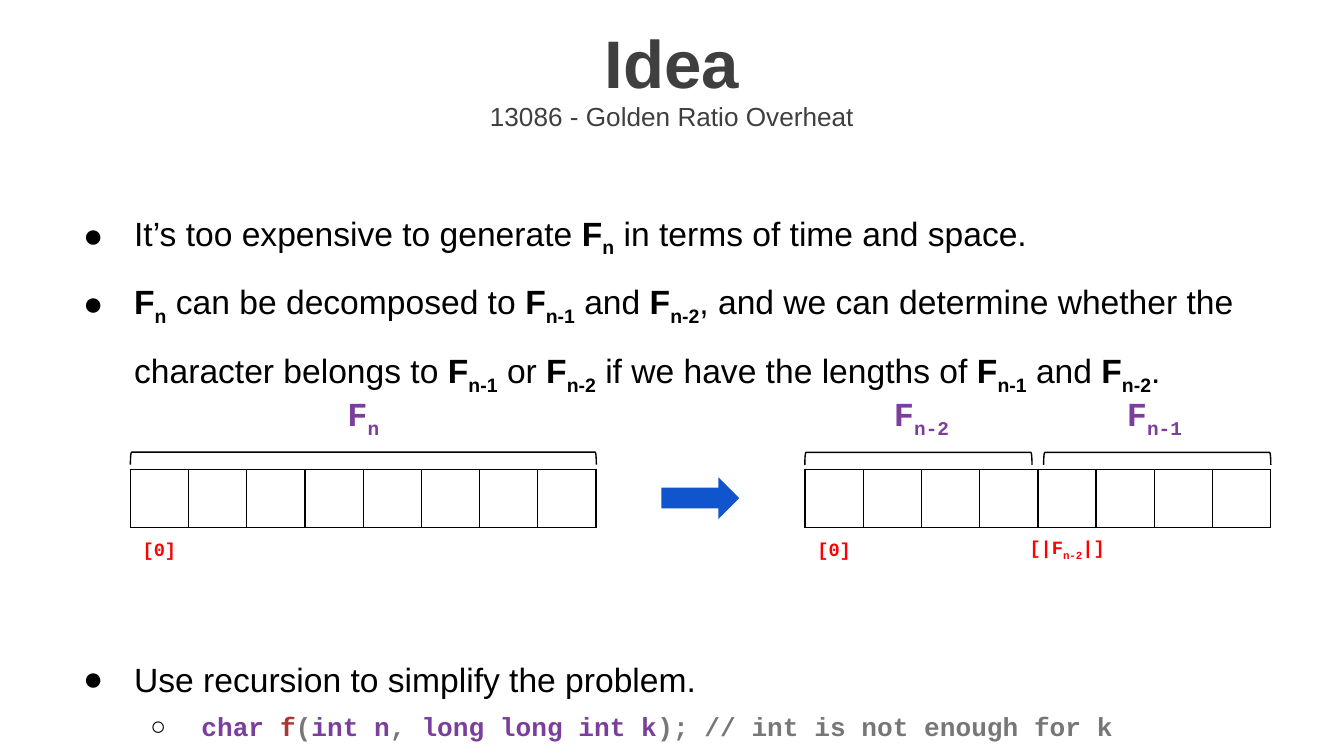
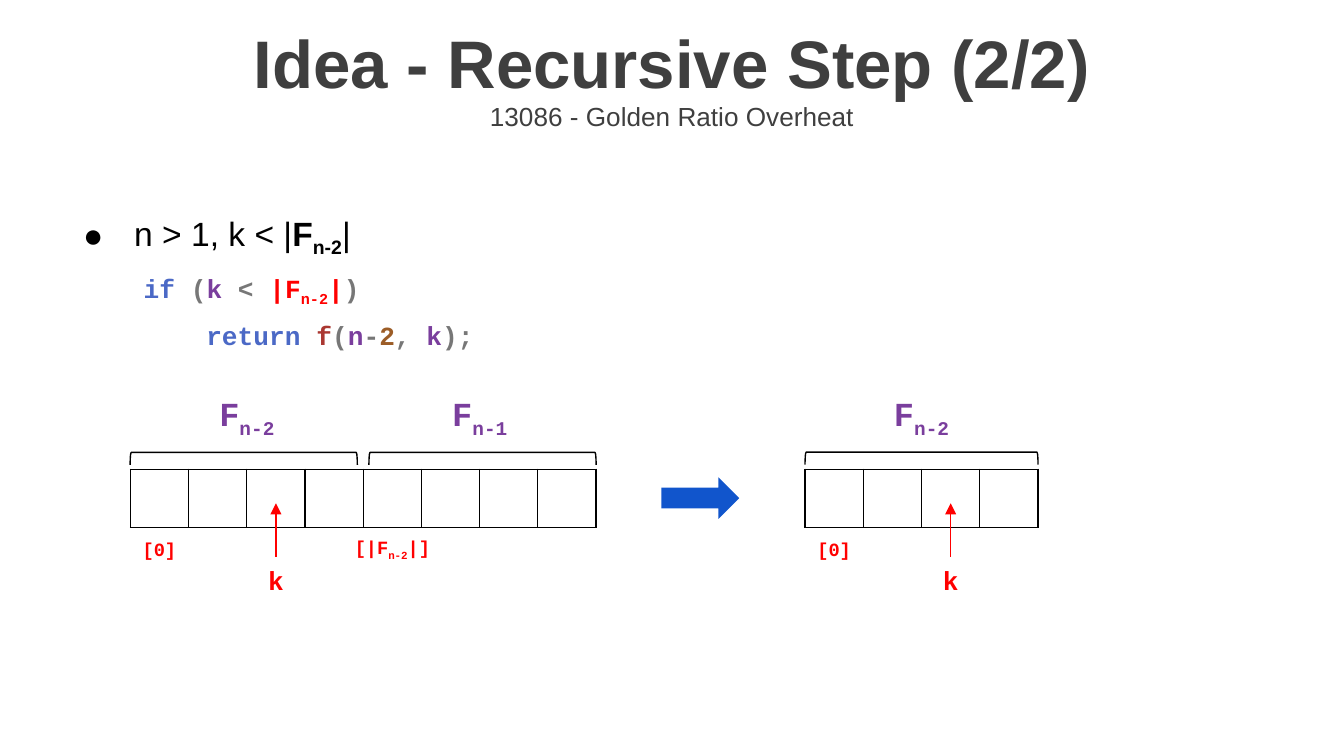
"""Build two slides on splitting a Fibonacci-style string recursively."""
from lxml import etree
from pptx import Presentation
from pptx import util as u
from pptx.dml import color
from pptx.enum import shapes, text as t
from pptx.oxml import ns

PX = 3048
COLORS = {
    "title": "3F3F3F", "ink": "000000", "arrow": "1155CC", "mark": "FF0000",
    "name": "7A3E9D", "call": "AA3731", "punct": "777777", "key": "4B69C6",
    "number": "9C5D27",
}
SANS, MONO = "Arial", "Courier New"
CELL, HALF = 130, 520
ROW_TOP, LEFT_ROW, RIGHT_ROW = 1047, 291, 1797
BRACKET_GAP = 13


def px(length):
    return u.Emu(length * PX)


def rgb(name):
    return color.RGBColor.from_string(COLORS[name])


def add_xml(parent, tag, **attributes):
    return etree.SubElement(parent, ns.qn(tag), attributes)


def add_run(para, text, size, font, ink, bold, subscript=False):
    span = para.add_run()
    span.text = text
    span.font.size = u.Pt(size)
    span.font.name = font
    span.font.bold = bold
    span.font.color.rgb = rgb(ink)
    if subscript:
        span.font._element.set("baseline", "-25000")


def add_span(para, text, size=18, font=SANS, ink="ink", bold=False):
    """Add text, writing each {n} as a bold F with subscript n."""
    plain, *terms = text.split("{")
    if plain:
        add_run(para, plain, size, font, ink, bold)
    for term in terms:
        index, _, rest = term.partition("}")
        add_run(para, "F", size, font, ink, True)
        add_run(para, index, size, font, ink, True, subscript=True)
        if rest:
            add_run(para, rest, size, font, ink, bold)


def add_code(para, spans, indent=0):
    para.line_spacing = 1.36
    if indent:
        para._p.get_or_add_pPr().set("marL", str(px(indent)))
    for ink, text in spans:
        add_span(para, text, size=14, font=MONO, ink=ink, bold=True)


def add_box(page, left, top, width, height, inset=30, anchor=t.MSO_ANCHOR.TOP):
    frame = page.shapes.add_textbox(px(left), px(top), px(width), px(height)).text_frame
    frame.word_wrap = True
    frame.vertical_anchor = anchor
    frame.margin_left = frame.margin_right = px(30)
    frame.margin_top = frame.margin_bottom = px(inset)
    return frame


def add_label(page, text, left, top, width, height, inset=30, **style):
    frame = add_box(page, left, top, width, height, inset, t.MSO_ANCHOR.MIDDLE)
    para = frame.paragraphs[0]
    para.alignment = t.PP_ALIGN.CENTER
    add_span(para, text, **style)


def set_bullet(para, mark, level=0):
    para.level = level
    props = para._p.get_or_add_pPr()
    props.set("marL", str(px(150 * (level + 1))))
    props.set("indent", str(px(-114)))
    add_xml(add_xml(props, "a:buClr"), "a:srgbClr", val=COLORS["ink"])
    add_xml(props, "a:buFont", typeface=SANS)
    add_xml(props, "a:buChar", char=mark)


def add_bullets(page, width, *lines):
    """Add a bulleted body and return its text frame."""
    frame = add_box(page, 120, 393, width, 1236)
    for number, line in enumerate(lines):
        para = frame.add_paragraph() if number else frame.paragraphs[0]
        para.line_spacing = 1.5
        set_bullet(para, "●")
        add_span(para, line)
    return frame


def add_row(page, left, count):
    frame = page.shapes.add_table(1, count, px(left), px(ROW_TOP), px(CELL * count), px(CELL))
    table = frame.table
    table.first_row = table.horz_banding = False
    table.rows[0].height = px(CELL)
    for column in table.columns:
        column.width = px(CELL)
    for cell in table.iter_cells():
        props = cell._tc.get_or_add_tcPr()
        for side in ("a:lnL", "a:lnR", "a:lnT", "a:lnB"):
            line = add_xml(props, side, w=str(u.Pt(0.75)))
            add_xml(add_xml(line, "a:solidFill"), "a:srgbClr", val=COLORS["ink"])
        cell.fill.background()


def add_bracket(page, left, length):
    bracket = page.shapes.add_shape(
        shapes.MSO_SHAPE.LEFT_BRACKET, px(left + length // 2 - 14),
        px(1023 - length // 2), px(28), px(length))
    bracket.rotation = 90
    bracket.shadow.inherit = False
    bracket.fill.background()
    bracket.line.color.rgb = rgb("ink")
    bracket.line.width = u.Pt(0.75)


def add_term(page, text, left, width):
    add_label(page, text, left, 882, width, 93, font=MONO, ink="name", bold=True)


def add_index(page, text, row, cell):
    center = row + cell * CELL + CELL // 2
    add_label(page, text, center - 195, 1197, 390, 54,
              size=10, font=MONO, ink="mark", bold=True)


def add_whole(page, row, term, count):
    """Add a row of cells under one bracket."""
    add_row(page, row, count)
    add_bracket(page, row, count * CELL)
    add_term(page, term, row, count * CELL)
    add_index(page, "[0]", row, 0)


def add_halves(page, row):
    """Add a row of eight cells split under two brackets."""
    add_row(page, row, 8)
    length = HALF - BRACKET_GAP
    for half, term in enumerate(("{n-2}", "{n-1}")):
        add_bracket(page, row + half * (HALF + BRACKET_GAP), length)
        add_term(page, term, row + half * HALF, HALF)
    add_index(page, "[0]", row, 0)
    add_index(page, "[|{n-2}|]", row, 4)


def add_step_arrow(page):
    arrow = page.shapes.add_shape(
        shapes.MSO_SHAPE.RIGHT_ARROW, px(1476), px(1065), px(174), px(93))
    arrow.shadow.inherit = False
    arrow.fill.solid()
    arrow.fill.fore_color.rgb = rgb("arrow")
    arrow.line.fill.background()


def add_pointer(page, row, cell):
    center = row + cell * CELL + CELL // 2
    add_label(page, "k", center - 189, 1268, 378, 54,
              size=14, font=MONO, ink="mark", bold=True)
    line = page.shapes.add_connector(
        shapes.MSO_CONNECTOR.STRAIGHT, px(center), px(1242), px(center), px(1123))
    line.line.color.rgb = rgb("mark")
    line.line.width = u.Pt(0.75)
    add_xml(line.line._get_or_add_ln(), "a:tailEnd", type="triangle")
    add_xml(line._element.spPr, "a:effectLst")


def add_page(deck, title):
    page = deck.slides.add_slide(deck.slide_layouts[6])
    add_label(page, title, 0, 42, 3000, 189, inset=15, size=36, ink="title", bold=True)
    add_label(page, "13086 - Golden Ratio Overheat", 0, 213, 3000, 93,
              inset=15, size=14, ink="title")
    return page


def build_idea(deck):
    page = add_page(deck, "Idea")
    body = add_bullets(
        page, 2757,
        "It’s too expensive to generate {n} in terms of time and space.",
        "{n} can be decomposed to {n-1} and {n-2}, and we can determine whether the "
        "character belongs to {n-1} or {n-2} if we have the lengths of {n-1} and {n-2}.",
        "Use recursion to simplify the problem.")
    body.paragraphs[-1].space_before = u.Pt(130)
    signature = body.add_paragraph()
    add_code(signature, [
        ("name", "char "), ("call", "f"), ("punct", "("), ("name", "int n"),
        ("punct", ", "), ("name", "long long int k"),
        ("punct", "); // int is not enough for k")])
    set_bullet(signature, "○", level=1)
    add_whole(page, LEFT_ROW, "{n}", 8)
    add_halves(page, RIGHT_ROW)
    add_step_arrow(page)


def build_recursive_step(deck):
    page = add_page(deck, "Idea - Recursive Step (2/2)")
    add_bullets(page, 1377, "n > 1, k < |{n-2}|")
    code = add_box(page, 291, 549, 1194, 93)
    add_code(code.paragraphs[0], [
        ("key", "if "), ("punct", "("), ("name", "k "), ("punct", "< "),
        ("mark", "|{n-2}|"), ("punct", ")")])
    add_code(code.add_paragraph(), [
        ("key", "return "), ("call", "f"), ("punct", "("), ("name", "n"),
        ("punct", "-"), ("number", "2"), ("punct", ", "), ("name", "k"),
        ("punct", ");")], indent=140)
    add_halves(page, LEFT_ROW)
    add_whole(page, RIGHT_ROW, "{n-2}", 4)
    add_step_arrow(page)
    for row in (LEFT_ROW, RIGHT_ROW):
        add_pointer(page, row, 2)


def main():
    deck = Presentation()
    deck.slide_width, deck.slide_height = px(3000), px(1687)
    build_idea(deck)
    build_recursive_step(deck)
    deck.save("out.pptx")


if __name__ == "__main__":
    main()
